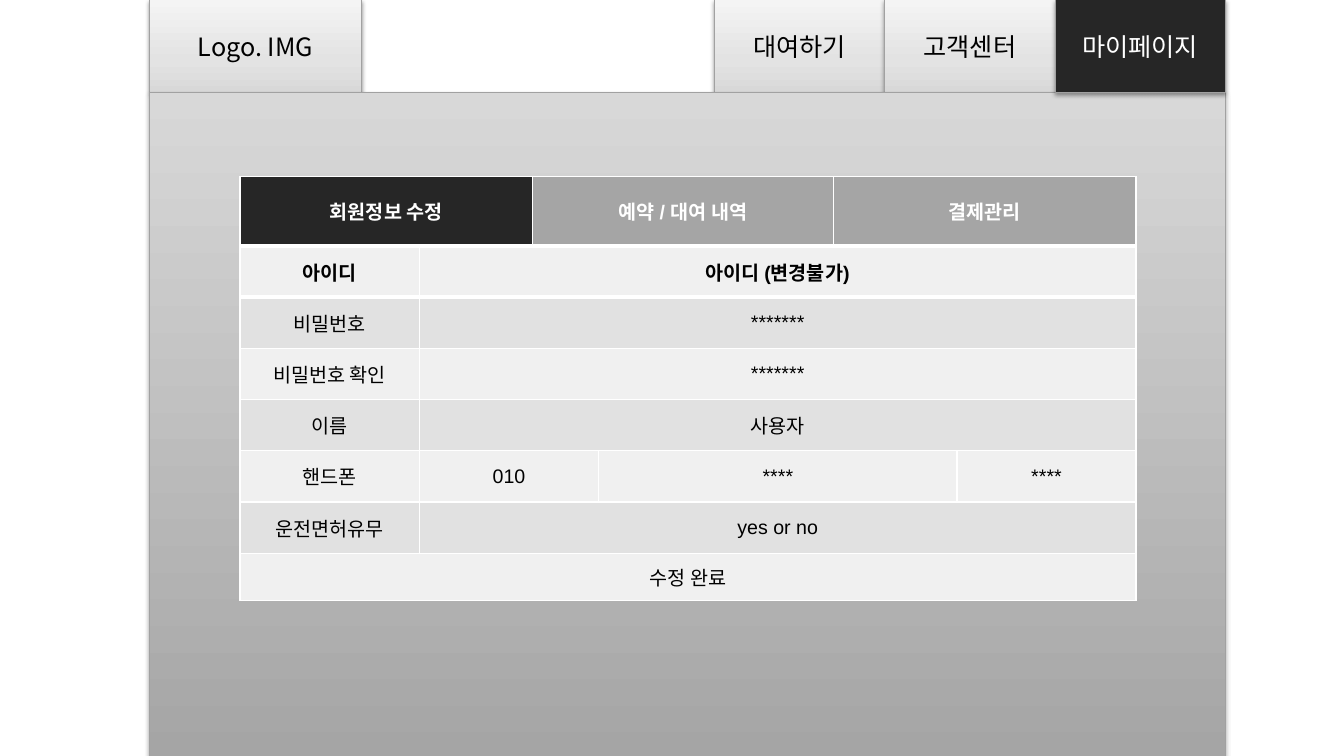
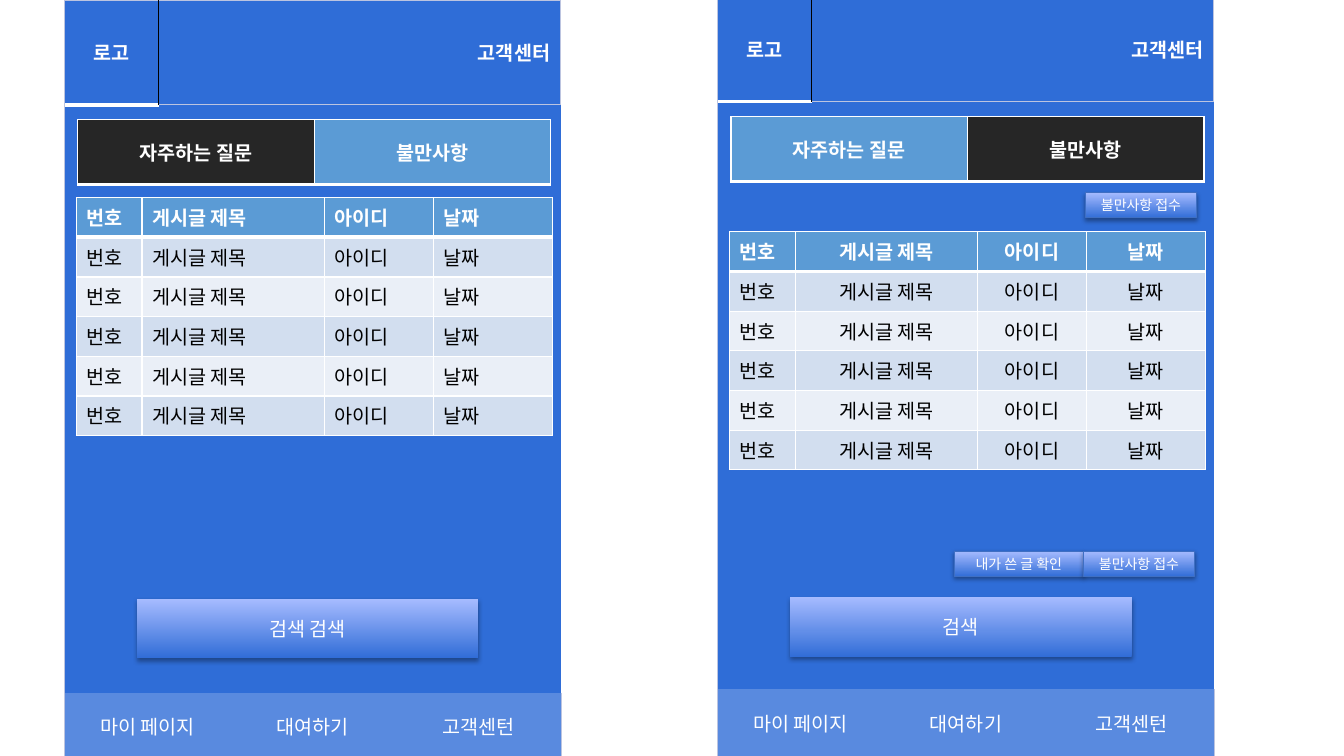
"""Build a member page and two mobile customer-centre screens as a two-slide deck."""
from pptx import Presentation
from pptx.dml.color import RGBColor
from pptx.enum.shapes import MSO_SHAPE
from pptx.enum.text import MSO_ANCHOR, PP_ALIGN
from pptx.oxml import parse_xml
from pptx.oxml.ns import nsdecls
from pptx.util import Cm, Pt

RECTANGLE = MSO_SHAPE.RECTANGLE
TOP, MIDDLE = MSO_ANCHOR.TOP, MSO_ANCHOR.MIDDLE
LEFT, CENTER, RIGHT = PP_ALIGN.LEFT, PP_ALIGN.CENTER, PP_ALIGN.RIGHT

WHITE = RGBColor(0xFF, 0xFF, 0xFF)
BLACK = RGBColor(0x00, 0x00, 0x00)
ACTIVE = RGBColor(0x26, 0x26, 0x26)
GRAY = RGBColor(0xA5, 0xA5, 0xA5)
GRAY_LINE = RGBColor(0xA1, 0xA1, 0xA1)
GRAY_BANDS = RGBColor(0xF0, 0xF0, 0xF0), RGBColor(0xE1, 0xE1, 0xE1)
SCREEN_BLUE = RGBColor(0x2F, 0x6D, 0xD7)
FOOTER_BLUE = RGBColor(0x59, 0x8A, 0xDF)
TAB_BLUE = RGBColor(0x5B, 0x9B, 0xD5)
BUTTON_LINE = RGBColor(0x3F, 0x6F, 0xC3)
FRAME_BLUE = RGBColor(0xBC, 0xC4, 0xE0)
BLUE_BANDS = RGBColor(0xEA, 0xEF, 0xF7), RGBColor(0xD2, 0xDE, 0xEF)

TAB_GRADIENT = ((0, "D8D8D8"), (35, "E3E3E3"), (100, "F4F4F4"))
BODY_GRADIENT = ((0, "A5A5A5"), (100, "D8D8D8"))
BUTTON_GRADIENT = ((0, "316DD7"), (100, "A6BBFF"))
TAB_SHADOW = (38, 20000)
BUTTON_SHADOW = (35, 23000)

SANS, KOREAN = "Arial", "Noto Sans CJK KR"
THIN, THICK = (WHITE, 1), (WHITE, 3)
FRAME, DIVIDER = (FRAME_BLUE, 0.75), (BLACK, 1)

SITE_LOGO = ("Logo. IMG", 3.76, 5.36)
SITE_MENU = ["대여하기", "고객센터", "마이페이지"]
SITE_BODY = (3.76, 2.34, 27.13, 16.79)
MENU_LEFT, MENU_WIDTH, MENU_HEIGHT = 18.01, 4.29, 2.34
MEMBER_TABS = ["회원정보 수정", "예약 / 대여 내역", "결제관리"]
MEMBER_FORM = [
    ["아이디", "아이디 (변경불가)", None, None],
    ["비밀번호", "*******", None, None],
    ["비밀번호 확인", "*******", None, None],
    ["이름", "사용자", None, None],
    ["핸드폰", "010", "****", "****"],
    ["운전면허유무", "yes or no", None, None],
    ["수정 완료", None, None, None],
]

PHONE_HEADER = ["로고", "고객센터"]
PHONE_TABS = ["자주하는 질문", "불만사항"]
PHONE_FOOTER = ["마이 페이지", "대여하기", "고객센턴"]
POST_FIELDS = ["번호", "게시글 제목", "아이디", "날짜"]
POST_COUNT = 5
PHONES = [
    {"shift": (0, 0), "active": 0, "list_top": 4.98, "align": LEFT,
     "search": "검색 검색", "buttons": []},
    {"shift": (16.46, -0.08), "active": 1, "list_top": 5.84, "align": CENTER,
     "search": "검색", "buttons": [
         ("불만사항 접수", 27.36, 4.85, 2.79),
         ("내가 쓴 글 확인", 24.05, 13.89, 3.25),
         ("불만사항 접수", 27.31, 13.89, 2.79)]},
]


def write(frame, text, align, **formats):
    """Put one formatted line into a text frame."""
    para = frame.paragraphs[0]
    para.alignment = align
    span = para.add_run()
    span.text = text
    span.font.color.rgb = formats.pop("color")
    for name, value in formats.items():
        setattr(span.font, name, value)
    span.font._element.append(
        parse_xml(f'<a:ea {nsdecls("a")} typeface="{KOREAN}"/>'))


def draw_box(page, place, fill, shadow, line=None, text="", size=18, color=BLACK):
    """Draw a shadowed rectangle with a plain or gradient fill."""
    box = page.shapes.add_shape(RECTANGLE, *map(Cm, place))
    properties = box._element.spPr
    if isinstance(fill, RGBColor):
        box.fill.solid()
        box.fill.fore_color.rgb = fill
    else:
        stops = "".join(f'<a:gs pos="{place * 1000}"><a:srgbClr val="{tone}"/></a:gs>'
                        for place, tone in fill)
        properties.insert(2, parse_xml(
            f'<a:gradFill {nsdecls("a")} rotWithShape="1"><a:gsLst>{stops}</a:gsLst>'
            '<a:lin ang="16200000" scaled="0"/></a:gradFill>'))
    if line:
        box.line.color.rgb = line
        box.line.width = Pt(0.75)
    else:
        box.line.fill.background()
    box.shadow.inherit = False
    alpha, distance = shadow
    properties[-1].append(parse_xml(
        f'<a:outerShdw {nsdecls("a")} blurRad="40000" dist="{distance}" dir="5400000" '
        f'rotWithShape="0"><a:srgbClr val="000000"><a:alpha val="{alpha * 1000}"/>'
        '</a:srgbClr></a:outerShdw>'))
    if text:
        box.text_frame.vertical_anchor = MIDDLE
        write(box.text_frame, text, CENTER, size=Pt(size), name=KOREAN, color=color)


def draw_table(page, left, top, columns, heights, texts):
    """Add a table, joining each text with the None cells on its right."""
    frame = page.shapes.add_table(len(heights), len(columns), Cm(left), Cm(top),
                                  Cm(sum(columns)), Cm(sum(heights)))
    table = frame.table
    table.first_row = table.horz_banding = False
    for column, width in zip(table.columns, columns):
        column.width = Cm(width)
    for row, height in zip(table.rows, heights):
        row.height = Cm(height)
    for r, line in enumerate(texts):
        for c, text in enumerate(line):
            end = c
            while text is not None and end + 1 < len(line) and line[end + 1] is None:
                end += 1
            if end > c:
                table.cell(r, c).merge(table.cell(r, end))
    return table


def dress(cell, text, fill, edges, align=CENTER, anchor=MIDDLE, font=SANS,
          color=WHITE, bold=False):
    """Fill a cell, draw its left, right, top and bottom edges, and write its text."""
    cell.fill.solid()
    cell.fill.fore_color.rgb = fill
    cell.vertical_anchor = anchor
    properties = cell._tc.get_or_add_tcPr()
    for index, (side, edge) in enumerate(zip("LRTB", edges)):
        tone, width = edge or (None, 0)
        paint = (f'<a:solidFill><a:srgbClr val="{tone}"/></a:solidFill>'
                 if edge else "<a:noFill/>")
        properties.insert(index, parse_xml(
            f'<a:ln{side} {nsdecls("a")} w="{Pt(width)}">{paint}</a:ln{side}>'))
    if text:
        write(cell.text_frame, text, align, size=Pt(14), name=font, color=color, bold=bold)


def draw_tabs(page, left, top, columns, height, texts, active, idle):
    """Draw a row of tabs with one of them dark."""
    table = draw_table(page, left, top, columns, [height], [texts])
    for c, text in enumerate(texts):
        dress(table.cell(0, c), text, ACTIVE if c == active else idle,
              (THIN, THIN, THIN, THICK), bold=True)


def draw_grid(page, left, top, columns, heights, texts, bands, head, **formats):
    """Draw a banded grid whose bold first row has a thick lower edge."""
    head_fill, head_color = head
    aligns = formats.pop("aligns", [CENTER] * len(columns))
    table = draw_table(page, left, top, columns, heights, texts)
    for r, line in enumerate(texts):
        edges = (THIN, THIN, THICK if r == 1 else THIN, THIN if r else THICK)
        for c, text in enumerate(line):
            dress(table.cell(r, c), text, bands[r % 2] if r else head_fill, edges,
                  align=aligns[c], color=BLACK if r else head_color,
                  bold=r == 0, **formats)


def draw_phone(page, phone):
    """Draw one mobile screen at its shift from the first one."""
    dx, dy = phone["shift"]
    left = 1.63 + dx
    texts = [["", None, None], PHONE_FOOTER]
    screen = draw_table(page, left, 2.64 + dy, [4.17] * 3, [14.81, 1.7], texts)
    for r, line in enumerate(texts):
        for c, text in enumerate(line):
            edges = (None if c else FRAME, FRAME if c == 2 else None,
                     None if r else FRAME, FRAME if r else None)
            dress(screen.cell(r, c), text, FOOTER_BLUE if r else SCREEN_BLUE, edges)

    header = draw_table(page, left, dy, [2.36, 10.13], [2.64], [PHONE_HEADER])
    looks = [((FRAME, DIVIDER, FRAME, THICK), CENTER),
             ((DIVIDER, FRAME, FRAME, FRAME), RIGHT)]
    for c, (edges, align) in enumerate(looks):
        dress(header.cell(0, c), PHONE_HEADER[c], SCREEN_BLUE, edges, align, bold=True)

    draw_tabs(page, 1.96 + dx, 3.02 + dy, [5.96] * 2, 1.63, PHONE_TABS,
              phone["active"], TAB_BLUE)
    draw_grid(page, 1.93 + dx, phone["list_top"], [1.65, 4.6, 2.74, 3],
              [1] * (POST_COUNT + 1), [POST_FIELDS] * (POST_COUNT + 1), BLUE_BANDS,
              (TAB_BLUE, WHITE), aligns=[LEFT] + [phone["align"]] * 3,
              anchor=TOP, font=KOREAN)
    draw_box(page, (3.45 + dx, 15.09 + dy / 2, 8.61, 1.5), BUTTON_GRADIENT,
             BUTTON_SHADOW, text=phone["search"], size=14, color=WHITE)
    for text, x, y, width in phone["buttons"]:
        draw_box(page, (x, y, width, 0.64), BUTTON_GRADIENT, BUTTON_SHADOW,
                 BUTTON_LINE, text, 10, WHITE)


def draw_member_page(page):
    """Draw the site menu, the page body and the member form."""
    logo, logo_left, logo_width = SITE_LOGO
    tabs = [(text, MENU_LEFT + i * MENU_WIDTH, MENU_WIDTH)
            for i, text in enumerate(SITE_MENU)]
    *idle, (current, current_left, current_width) = tabs
    for text, left, width in idle + [(logo, logo_left, logo_width)]:
        draw_box(page, (left, 0, width, MENU_HEIGHT), TAB_GRADIENT, TAB_SHADOW,
                 GRAY_LINE, text)
    draw_box(page, SITE_BODY, BODY_GRADIENT, BUTTON_SHADOW, GRAY_LINE)
    draw_grid(page, 6.05, 6.2, [4.52, 4.52, 9.03, 4.51], [1.29] * 6 + [1.19],
              MEMBER_FORM, GRAY_BANDS, (GRAY_BANDS[0], BLACK))
    draw_tabs(page, 6.05, 4.45, [7.37, 7.59, 7.62], 1.75, MEMBER_TABS, 0, GRAY)
    draw_box(page, (current_left, 0, current_width, MENU_HEIGHT), ACTIVE, TAB_SHADOW,
             GRAY_LINE, current, color=WHITE)


deck = Presentation()
deck.slide_width, deck.slide_height = Cm(33.87), Cm(19.05)
blank = deck.slide_layouts[6]
draw_member_page(deck.slides.add_slide(blank))
phone_page = deck.slides.add_slide(blank)
for phone in PHONES:
    draw_phone(phone_page, phone)
deck.save("out.pptx")
